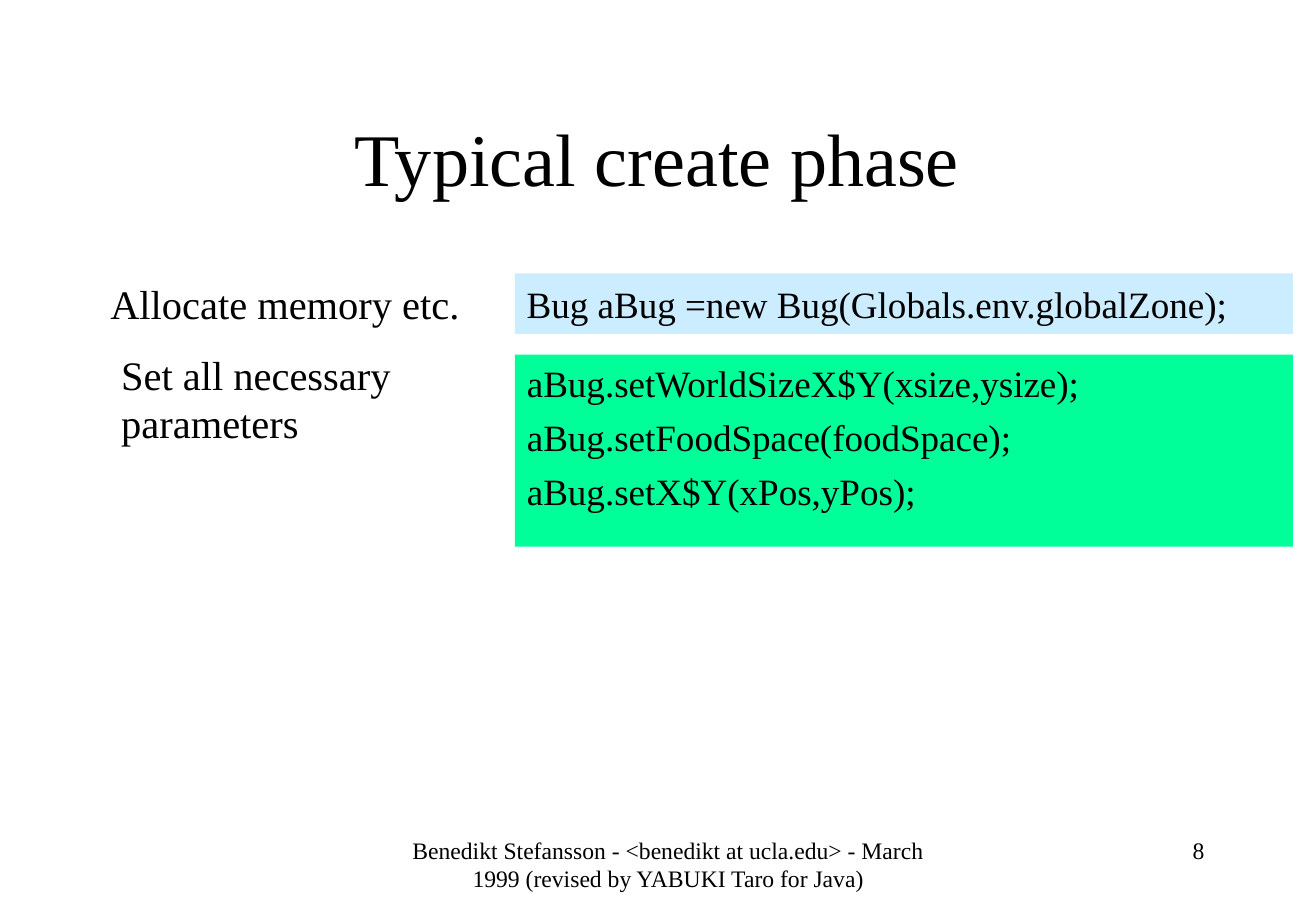
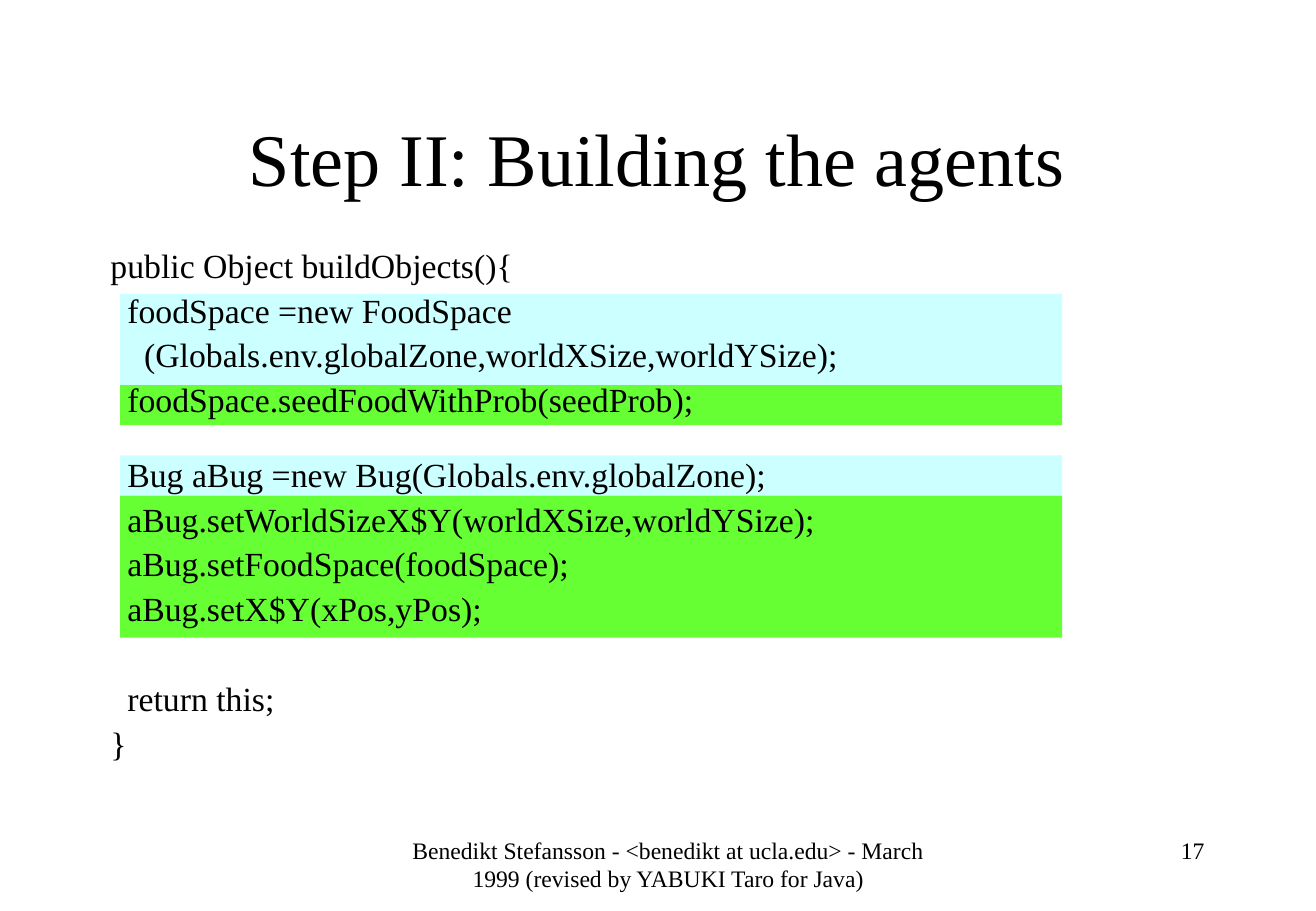
from lxml.etree import SubElement
from pptx import Presentation
from pptx.dml.color import RGBColor
from pptx.enum.shapes import MSO_SHAPE
from pptx.enum.text import MSO_ANCHOR, MSO_AUTO_SIZE, PP_ALIGN
from pptx.oxml.ns import qn
from pptx.util import Inches, Pt

FONT = "Times New Roman"
BLACK = "000000"
SKY, MINT = "CCECFF", "00FF99"
CYAN, GREEN = "CCFFFF", "66FF33"

TITLE_BOX = (0.81, 0.67, 9.21, 1.25)
FOOTER_BOX = (3.25, 6.83, 4.51, 0.5)
NUMBER_BOX = (8.03, 6.83, 1.99, 0.5)
FOOTER = ("Benedikt Stefansson - <benedikt at ucla.edu> - March 1999 "
          "(revised by YABUKI Taro for Java)")
HANGING = 0.38


def color(value):
    return RGBColor.from_string(value)


def place(shape, box):
    shape.left, shape.top, shape.width, shape.height = map(Inches, box)


def write(shape, text, size, align=PP_ALIGN.LEFT, anchor=MSO_ANCHOR.TOP, wrap=True):
    frame = shape.text_frame
    frame.text = text
    frame.word_wrap = wrap
    frame.auto_size = MSO_AUTO_SIZE.NONE
    frame.vertical_anchor = anchor
    for para in frame.paragraphs:
        para.alignment = align
        for span in para.runs:
            span.font.size = Pt(size)
            span.font.name = FONT
            span.font.color.rgb = color(BLACK)


def add_label(page, box, text, size, align=PP_ALIGN.LEFT):
    label = page.shapes.add_textbox(*map(Inches, box))
    write(label, text, size, align)


def add_band(page, box, fill):
    band = page.shapes.add_shape(MSO_SHAPE.RECTANGLE, *map(Inches, box))
    band.shadow.inherit = False
    band.fill.solid()
    band.fill.fore_color.rgb = color(fill)
    band.line.fill.background()
    return band


def add_page(deck, title, number):
    """Add a slide with its title, footer and slide number."""
    page = deck.slides.add_slide(deck.slide_layouts[1])
    place(page.shapes.title, TITLE_BOX)
    write(page.shapes.title, title, 44, PP_ALIGN.CENTER, MSO_ANCHOR.MIDDLE)
    add_label(page, FOOTER_BOX, FOOTER, 14, PP_ALIGN.CENTER)
    add_label(page, NUMBER_BOX, str(number), 14, PP_ALIGN.RIGHT)
    return page


def fill_code(page, box, lines, size, gap, spacing=1.0, breaks=None):
    """Write code lines in the body, in front of the bands.

    breaks maps a line's index to the space before it, in place of gap.
    """
    body = page.placeholders[1]
    place(body, box)
    write(body, "\n".join(lines), size)
    for index, para in enumerate(body.text_frame.paragraphs):
        before = (breaks or {}).get(index, gap) if index else 0
        para.space_before = Pt(before)
        para.line_spacing = spacing
        props = para._p.get_or_add_pPr()
        props.set("marL", str(Inches(HANGING)))
        props.set("indent", str(-Inches(HANGING)))
        SubElement(props, qn("a:buNone"))
    page.shapes._spTree.append(body._element)


def build_create_phase(deck):
    page = add_page(deck, "Typical create phase", 8)
    left, width = 4.24, 6.41
    allocate_band = add_band(page, (left, 2.25, width, 0.5), SKY)
    write(allocate_band, "Bug aBug =new Bug(Globals.env.globalZone);", 22,
          anchor=MSO_ANCHOR.MIDDLE, wrap=False)
    add_band(page, (left, 2.92, width, 1.58), MINT)
    setters = ["aBug.setWorldSizeX$Y(xsize,ysize);",
               "aBug.setFoodSpace(foodSpace);",
               "aBug.setX$Y(xPos,yPos);"]
    fill_code(page, (left, 2.92, 5.87, 1.42), setters, 22, 5.5)
    add_label(page, (0.81, 2.25, 3.52, 0.5), "Allocate memory etc.", 24)
    add_label(page, (0.9, 2.83, 3.25, 0.9), "Set all necessary parameters", 24)


def build_agents(deck):
    page = add_page(deck, "Step II: Building the agents", 17)
    bands = [(2.42, 0.75, CYAN), (3.17, 0.33, GREEN),
             (3.75, 0.33, CYAN), (4.08, 1.17, GREEN)]
    for top, height, fill in bands:
        add_band(page, (0.99, top, 7.76, height), fill)
    code = ["public Object buildObjects(){",
            "  foodSpace =new FoodSpace",
            "    (Globals.env.globalZone,worldXSize,worldYSize);",
            "  foodSpace.seedFoodWithProb(seedProb);",
            "  Bug aBug =new Bug(Globals.env.globalZone);",
            "  aBug.setWorldSizeX$Y(worldXSize,worldYSize);",
            "  aBug.setFoodSpace(foodSpace);",
            "  aBug.setX$Y(xPos,yPos);",
            "  return this;",
            "}"]
    fill_code(page, (0.81, 2, 9.21, 4.5), code, 20, 5, 0.9,
              breaks={4: 22.5, 8: 31.5})


def main():
    deck = Presentation()
    deck.slide_width, deck.slide_height = Inches(10.84), Inches(7.5)
    build_create_phase(deck)
    build_agents(deck)
    deck.save("out.pptx")


if __name__ == "__main__":
    main()
